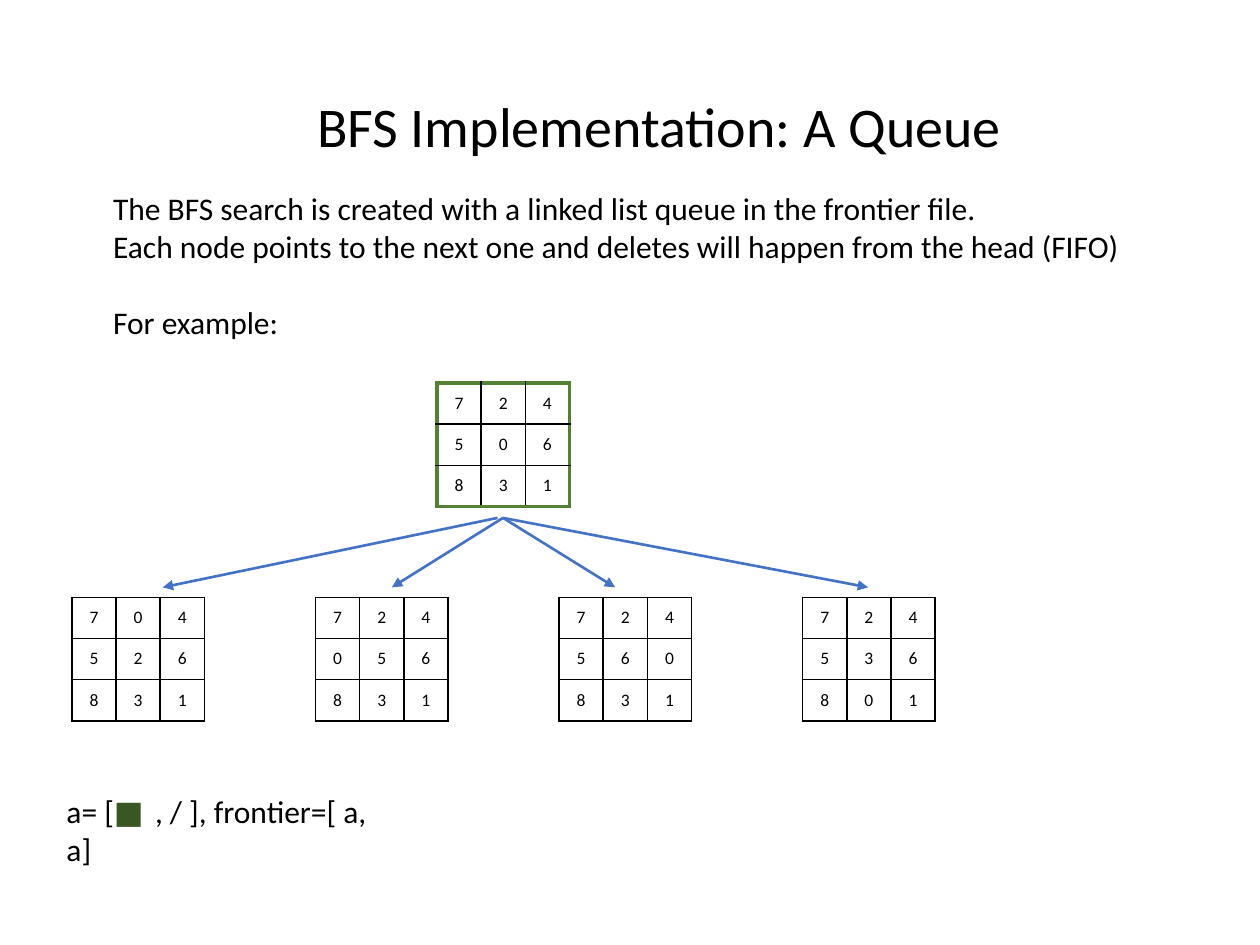
import pptx
import pptx.dml.color
import pptx.enum.shapes
import pptx.enum.text
import pptx.oxml.ns
import pptx.util
from lxml import etree
from pptx.util import Cm

COLOURS = {
    "text": "000000",
    "cell": "FFFFFF",
    "grid": "000000",
    "root": "548235",
    "arrow": "4472C4",
    "node": "385723",
}
FONT = "Calibri"
SIDE = 3
CELL_WIDTH, CELL_HEIGHT = 0.89, 0.83
CHILD_LEFT, CHILD_TOP, CHILD_STEP = 1.45, 12.04, 4.91

ROOT = ["724", "506", "831"]
CHILDREN = [
    ["704", "526", "831"],
    ["724", "056", "831"],
    ["724", "560", "831"],
    ["724", "536", "801"],
]
# Start x and end x of the arrow to each child
ARROWS = [(10.03, 3.28), (10.14, 7.9), (10.14, 12.4), (10.14, 17.5)]
ARROW_TOP, ARROW_BOTTOM = 10.44, 11.84


def rgb(name):
    return pptx.dml.color.RGBColor.from_string(COLOURS[name])


def add_xml(parent, tag, **attributes):
    return etree.SubElement(parent, pptx.oxml.ns.qn(tag), attributes)


def add_span(para, text, size, font=FONT, colour="text", bold=False):
    span = para.add_run()
    span.text = text
    span.font.size = pptx.util.Pt(size)
    span.font.name = font
    span.font.bold = bold
    span.font.color.rgb = rgb(colour)


def add_text_box(page, left, top, width, height):
    """Return the text frame of a new wrapping box."""
    frame = page.shapes.add_textbox(Cm(left), Cm(top), Cm(width), Cm(height)).text_frame
    frame.word_wrap = True
    frame.auto_size = pptx.enum.text.MSO_AUTO_SIZE.SHAPE_TO_FIT_TEXT
    return frame


def add_border(cell, side, colour, width):
    line = add_xml(cell._tc.get_or_add_tcPr(), f"a:ln{side}",
                   w=str(int(pptx.util.Pt(width))))
    add_xml(add_xml(line, "a:solidFill"), "a:srgbClr", val=COLOURS[colour])


def add_puzzle(page, left, top, rows, outline="grid", outline_width=1):
    """Draw a 3 by 3 board whose outer edge may differ from its inner lines."""
    table = page.shapes.add_table(SIDE, SIDE, Cm(left), Cm(top),
                                  Cm(SIDE * CELL_WIDTH), Cm(SIDE * CELL_HEIGHT)).table
    table.first_row = table.horz_banding = False
    for column in table.columns:
        column.width = Cm(CELL_WIDTH)
    for row in table.rows:
        row.height = Cm(CELL_HEIGHT)
    last = SIDE - 1
    for i, digits in enumerate(rows):
        for j, digit in enumerate(digits):
            cell = table.cell(i, j)
            cell.margin_left = cell.margin_right = Cm(0.18)
            cell.margin_top = cell.margin_bottom = Cm(0.1)
            cell.vertical_anchor = pptx.enum.text.MSO_ANCHOR.MIDDLE
            outer = {"L": j == 0, "R": j == last, "T": i == 0, "B": i == last}
            for side, is_outer in outer.items():
                if is_outer:
                    add_border(cell, side, outline, outline_width)
                else:
                    add_border(cell, side, "grid", 1)
            cell.fill.solid()
            cell.fill.fore_color.rgb = rgb("cell")
            para = cell.text_frame.paragraphs[0]
            para.alignment = pptx.enum.text.PP_ALIGN.CENTER
            add_span(para, digit, 10)


def add_arrow(page, start_x, end_x):
    arrow = page.shapes.add_connector(
        pptx.enum.shapes.MSO_CONNECTOR.STRAIGHT,
        Cm(start_x), Cm(ARROW_TOP), Cm(end_x), Cm(ARROW_BOTTOM))
    arrow.line.color.rgb = rgb("arrow")
    arrow.line.width = pptx.util.Pt(1.5)
    add_xml(arrow.line._get_or_add_ln(), "a:tailEnd", type="triangle")
    add_xml(arrow._element.spPr, "a:effectLst")


def add_title(page):
    para = add_text_box(page, 2.79, 1.73, 21.01, 1.63).paragraphs[0]
    para.alignment = pptx.enum.text.PP_ALIGN.CENTER
    add_span(para, "BFS Implementation: A Queue", 32)


def add_explanation(page):
    frame = add_text_box(page, 2.03, 3.68, 21.74, 3.33)
    add_span(frame.paragraphs[0],
             "The BFS search is created with a linked list queue in the frontier file.", 18)
    add_span(frame.add_paragraph(),
             "Each node points to the next one and deletes will happen from the head (FIFO)", 18)
    example = frame.add_paragraph()
    example.space_before = pptx.util.Pt(22)
    add_span(example, "For example:", 18)


def add_queue_state(page):
    para = add_text_box(page, 1.09, 15.85, 7.11, 1.02).paragraphs[0]
    add_span(para, "a= [", 18)
    add_span(para, "■ ", 18, "Comic Neue", "node", True)
    add_span(para, ", / ], frontier=[ a, a]", 18)


def main():
    deck = pptx.Presentation()
    deck.slide_width, deck.slide_height = Cm(25.4), Cm(19.05)
    page = deck.slides.add_slide(deck.slide_layouts[6])
    add_title(page)
    add_explanation(page)
    add_puzzle(page, 8.81, 7.72, ROOT, "root", 2.25)
    for index, child in enumerate(CHILDREN):
        add_puzzle(page, CHILD_LEFT + index * CHILD_STEP, CHILD_TOP, child)
    for start_x, end_x in ARROWS:
        add_arrow(page, start_x, end_x)
    add_queue_state(page)
    deck.save("out.pptx")


if __name__ == "__main__":
    main()
